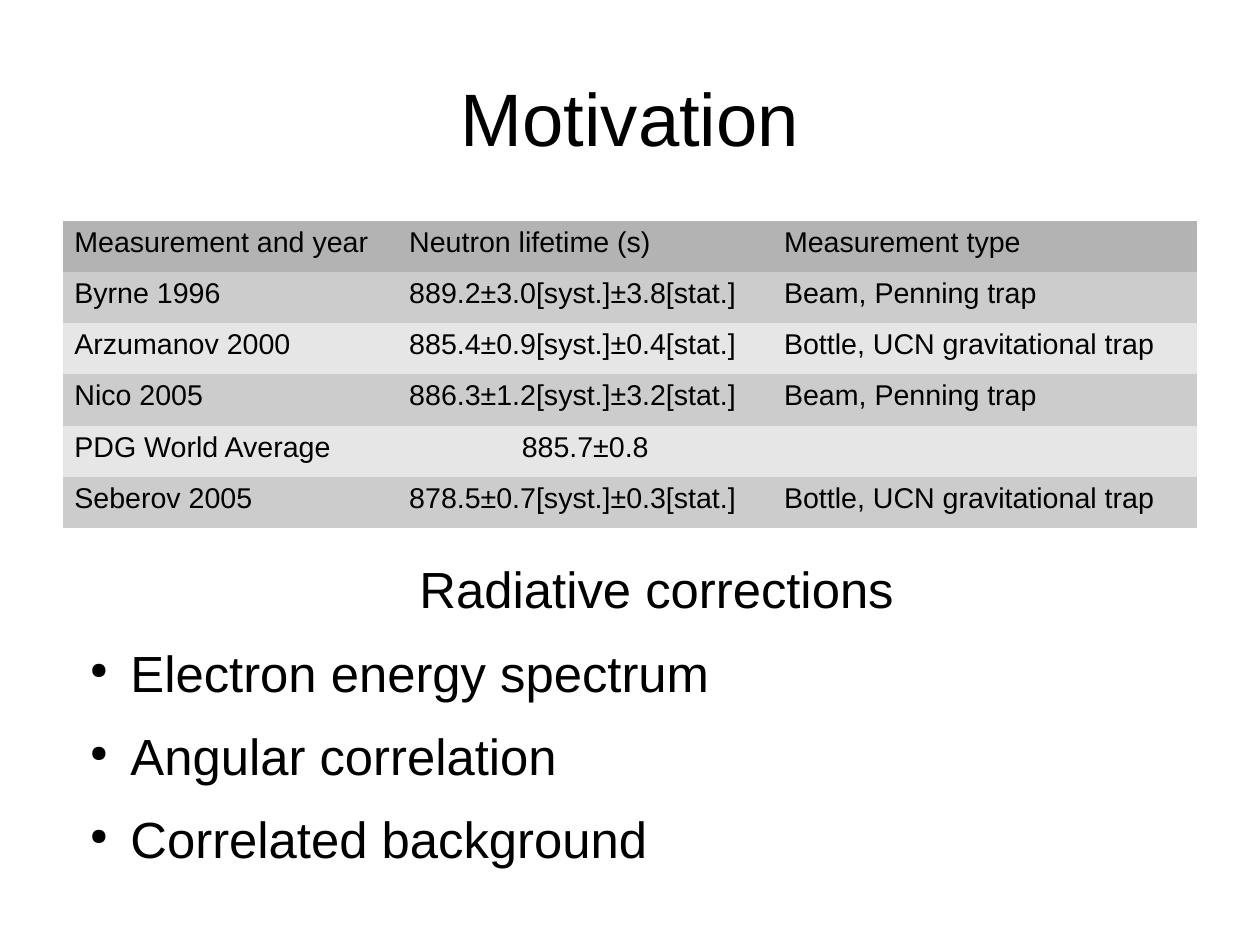
from lxml.etree import SubElement
from pptx import Presentation
from pptx.dml.color import RGBColor
from pptx.enum.text import MSO_ANCHOR as Anchor, PP_ALIGN as Align
from pptx.oxml.ns import qn
from pptx.util import Cm, Pt

TITLE = "Motivation"
MEASUREMENTS = [
    ("Measurement and year", "Neutron lifetime (s)", "Measurement type"),
    ("Byrne 1996", "889.2±3.0[syst.]±3.8[stat.]", "Beam, Penning trap"),
    ("Arzumanov 2000", "885.4±0.9[syst.]±0.4[stat.]", "Bottle, UCN gravitational trap"),
    ("Nico 2005", "886.3±1.2[syst.]±3.2[stat.]", "Beam, Penning trap"),
    ("PDG World Average", "885.7±0.8", ""),
    ("Seberov 2005", "878.5±0.7[syst.]±0.3[stat.]", "Bottle, UCN gravitational trap"),
]
CENTERED_CELL = (4, 1)
HEADING = "Radiative corrections"
TOPICS = ["Electron energy spectrum", "Angular correlation", "Correlated background"]

FONT = "Arial"
COLORS = {"text": "000000", "header": "B3B3B3", "odd": "CCCCCC", "even": "E6E6E6"}
COLUMN_WIDTHS = [7.44, 8.33, 9.43]
ROW_HEIGHT = 1.14
PLAIN_TABLE_STYLE = "{2D5ABB26-0587-4C30-8999-92F81FD0307C}"


def format_runs(paragraph, size):
    for run in paragraph.runs:
        run.font.name = FONT
        run.font.size = Pt(size)
        run.font.color.rgb = RGBColor.from_string(COLORS["text"])


def add_text_frame(slide, left, top, width, height):
    box = slide.shapes.add_textbox(Cm(left), Cm(top), Cm(width), Cm(height))
    frame = box.text_frame
    frame.word_wrap = True
    frame.margin_left = frame.margin_right = frame.margin_top = frame.margin_bottom = 0
    return frame


def add_bullet(properties):
    color = SubElement(properties, qn("a:buClr"))
    SubElement(color, qn("a:srgbClr"), val=COLORS["text"])
    SubElement(properties, qn("a:buSzPct"), val="45000")
    SubElement(properties, qn("a:buChar"), char="●")


def add_title(slide):
    frame = add_text_frame(slide, 1.4, 0.84, 25.2, 3.5)
    frame.vertical_anchor = Anchor.MIDDLE
    frame.text = TITLE
    paragraph = frame.paragraphs[0]
    paragraph.alignment = Align.CENTER
    format_runs(paragraph, 46.8)


def row_color(row):
    if row == 0:
        return COLORS["header"]
    return COLORS["odd" if row % 2 else "even"]


def add_measurements(slide):
    rows = len(MEASUREMENTS)
    table = slide.shapes.add_table(
        rows, len(COLUMN_WIDTHS), Cm(1.4), Cm(4.9),
        Cm(sum(COLUMN_WIDTHS)), Cm(rows * ROW_HEIGHT)).table
    table._tbl.tblPr.find(qn("a:tableStyleId")).text = PLAIN_TABLE_STYLE
    table.horz_banding = False
    for column, width in zip(table.columns, COLUMN_WIDTHS):
        column.width = Cm(width)
    for row, values in enumerate(MEASUREMENTS):
        table.rows[row].height = Cm(ROW_HEIGHT)
        for column, value in enumerate(values):
            cell = table.cell(row, column)
            cell.fill.solid()
            cell.fill.fore_color.rgb = RGBColor.from_string(row_color(row))
            cell.text = value
            paragraph = cell.text_frame.paragraphs[0]
            if (row, column) == CENTERED_CELL:
                paragraph.alignment = Align.CENTER
            format_runs(paragraph, 18)


def add_topics(slide):
    frame = add_text_frame(slide, 1.7, 12.4, 24.6, 7)
    frame.text = "\n".join([HEADING, *TOPICS])
    for index, paragraph in enumerate(frame.paragraphs):
        properties = paragraph._p.get_or_add_pPr()
        properties.set("marL", str(Cm(1.2)))
        if index == 0:
            properties.set("indent", "0")
            paragraph.alignment = Align.CENTER
        else:
            properties.set("indent", str(Cm(-0.9)))
            add_bullet(properties)
        paragraph.space_after = Pt(14.1)
        format_runs(paragraph, 32)


def main():
    presentation = Presentation()
    presentation.slide_width = Cm(28)
    presentation.slide_height = Cm(21)
    slide = presentation.slides.add_slide(presentation.slide_layouts[6])
    add_title(slide)
    add_measurements(slide)
    add_topics(slide)
    presentation.save("out.pptx")


if __name__ == "__main__":
    main()
